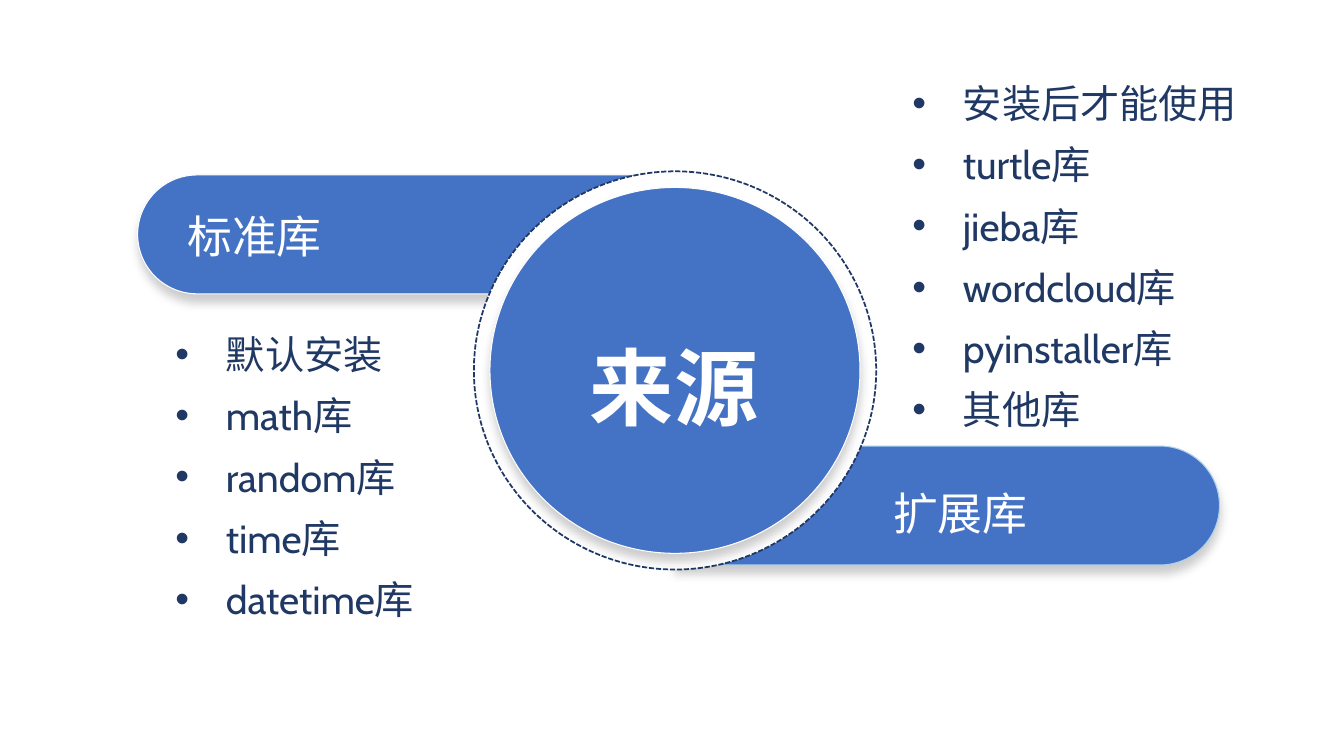
from dataclasses import dataclass

from lxml.etree import SubElement
from pptx import Presentation
from pptx.dml.color import RGBColor
from pptx.enum.dml import MSO_LINE
from pptx.enum.shapes import MSO_SHAPE
from pptx.enum.text import MSO_ANCHOR, MSO_AUTO_SIZE, PP_ALIGN
from pptx.oxml.ns import qn
from pptx.util import Inches, Pt


@dataclass(frozen=True)
class Theme:
    blue: str = "4472C4"
    navy: str = "203864"
    pale: str = "AAD1EE"
    white: str = "FFFFFF"
    latin: str = "Cabin"
    han: str = "Noto Sans CJK SC"
    title: int = 60
    label: int = 32
    body: int = 28
    spacing: float = 1.3


def place(shape, box):
    shape.left, shape.top, shape.width, shape.height = map(Inches, box)


def cast(shape):
    """Put a soft shadow straight below the shape."""
    effects = SubElement(shape._element.spPr, qn("a:effectLst"))
    shadow = SubElement(effects, qn("a:outerShdw"), blurRad=str(Pt(7)), dist=str(Pt(5)),
                        dir="5400000", algn="t", rotWithShape="0")
    color = SubElement(shadow, qn("a:srgbClr"), val="000000")
    SubElement(color, qn("a:alpha"), val="20000")


class Board:
    def __init__(self, slide, theme):
        self.slide, self.theme = slide, theme
        self.shapes = slide.shapes

    def shape(self, kind, box, fill, line, width=0.75):
        shape = self.shapes.add_shape(kind, *map(Inches, box))
        shape.shadow.inherit = False
        shape.fill.solid()
        shape.fill.fore_color.rgb = RGBColor.from_string(fill)
        shape.line.color.rgb = RGBColor.from_string(line)
        shape.line.width = Pt(width)
        return shape

    def bar(self, box, turn, line):
        """Draw a bar whose rounded end points the way it is turned."""
        bar = self.shape(MSO_SHAPE.ROUND_2_SAME_RECTANGLE, box, self.theme.blue, line)
        bar.adjustments[0], bar.adjustments[1] = 0.5, 0
        bar.rotation = turn
        self.shade(bar)

    def shade(self, shape):
        shape._element.spPr.remove(shape._element.spPr.find(qn("a:effectLst")))
        cast(shape)

    def ring(self, box):
        ring = self.shape(MSO_SHAPE.OVAL, box, self.theme.white, self.theme.navy, 1.25)
        ring.line.dash_style = MSO_LINE.SQUARE_DOT

    def disc(self, box):
        self.shade(self.shape(MSO_SHAPE.OVAL, box, self.theme.blue, self.theme.white))

    def style(self, part, size, color, font, bold=False, align=PP_ALIGN.LEFT):
        part.alignment = align
        part.line_spacing = self.theme.spacing
        part.space_before = part.space_after = Pt(0)
        part.font.size, part.font.bold, part.font.name = Pt(size), bold, font
        part.font.color.rgb = RGBColor.from_string(color)
        SubElement(part._p.pPr.find(qn("a:defRPr")), qn("a:ea"), typeface=self.theme.han)

    def frame(self, shape, anchor):
        frame = shape.text_frame
        frame.word_wrap = True
        frame.auto_size = MSO_AUTO_SIZE.SHAPE_TO_FIT_TEXT
        frame.vertical_anchor = anchor
        return frame

    def raised(self, index, box):
        """Bring a placeholder to the front and move it into the box."""
        holder = self.slide.placeholders[index]
        place(holder, box)
        self.shapes._spTree.append(holder._element)
        return holder

    def title(self, text, box):
        frame = self.frame(self.raised(0, box), MSO_ANCHOR.MIDDLE)
        frame.text = text
        self.style(frame.paragraphs[0], self.theme.title, self.theme.white,
                   self.theme.han, True, PP_ALIGN.CENTER)

    def label(self, text, box, anchor):
        frame = self.frame(self.shapes.add_textbox(*map(Inches, box)), anchor)
        frame.text = text
        self.style(frame.paragraphs[0], self.theme.label, self.theme.white, self.theme.han)

    def bullets(self, index, items, box):
        frame = self.frame(self.raised(index, box), MSO_ANCHOR.TOP)
        frame.text = "\n".join(items)
        for part in frame.paragraphs:
            props = part._p.get_or_add_pPr()
            props.set("marL", str(Inches(0.5)))
            props.set("indent", str(Inches(-0.5)))
            SubElement(props, qn("a:buFont"), typeface="Arial")
            SubElement(props, qn("a:buChar"), char="•")
            self.style(part, self.theme.body, self.theme.navy, self.theme.latin)


def main():
    deck = Presentation()
    deck.slide_width, deck.slide_height = Inches(13.33), Inches(7.5)
    theme = Theme()
    board = Board(deck.slides.add_slide(deck.slide_layouts[3]), theme)

    board.bar((8.8, 2.31, 1.18, 5.41), 90, theme.pale)
    board.bar((3.48, -0.38, 1.18, 5.41), 270, theme.white)
    board.ring((4.7, 1.7, 3.99, 3.95))
    board.disc((4.86, 1.86, 3.67, 3.63))
    board.title("来源", (5.46, 3.03, 2.45, 1.29))
    board.label("标准库", (1.76, 1.89, 1.58, 0.73), MSO_ANCHOR.MIDDLE)
    board.label("扩展库", (8.76, 4.61, 2.97, 0.73), MSO_ANCHOR.TOP)
    board.bullets(1, ["默认安装", "math库", "random库", "time库", "datetime库"],
                  (1.64, 3.09, 2.59, 3.16))
    board.bullets(2, ["安装后才能使用", "turtle库", "jieba库", "wordcloud库",
                      "pyinstaller库", "其他库"], (8.95, 0.6, 3.46, 3.78))
    deck.save("out.pptx")


if __name__ == "__main__":
    main()
